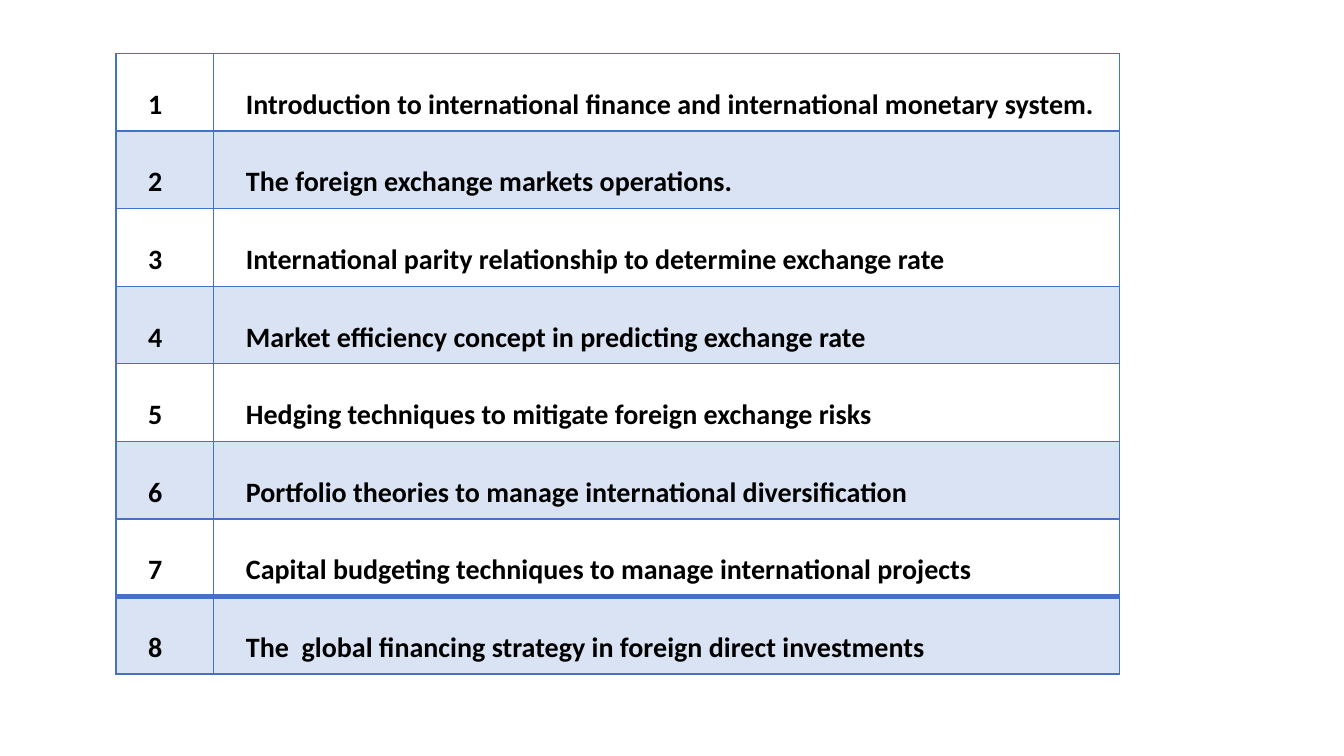
from lxml import etree
from pptx import Presentation
from pptx.dml.color import RGBColor
from pptx.oxml.ns import qn
from pptx.util import Inches, Pt

# Content
TOPICS = [
    "Introduction to international finance and international monetary system.",
    "The foreign exchange markets operations.",
    "International parity relationship to determine exchange rate",
    "Market efficiency concept in predicting exchange rate",
    "Hedging techniques to mitigate foreign exchange risks",
    "Portfolio theories to manage international diversification",
    "Capital budgeting techniques to manage international projects",
    "The  global financing strategy in foreign direct investments",
]

# Layout and style
LEFT, TOP = 1.15, 0.53
COLUMN_WIDTHS = (0.97, 8.98)
ROW_HEIGHT = 0.77
BORDER_COLOR, BAND_COLOR, TEXT_COLOR = "4472C4", "DAE3F3", "000000"
HEADER_RULE, LAST_RULE, THIN_RULE = 2, 4, 1


def rgb(hex_color):
    return RGBColor.from_string(hex_color)


def rule_width(boundary):
    """Width of the horizontal rule above the row with this index."""
    return {1: HEADER_RULE, len(TOPICS) - 1: LAST_RULE}.get(boundary, THIN_RULE)


def set_borders(cell, widths):
    properties = cell._tc.get_or_add_tcPr()
    for side, width in widths.items():
        line = etree.SubElement(properties, qn(f"a:ln{side}"), w=str(Pt(width)))
        fill = etree.SubElement(line, qn("a:solidFill"))
        etree.SubElement(fill, qn("a:srgbClr"), val=BORDER_COLOR)


def format_cell(cell, text, row):
    cell.margin_left = cell.margin_right = Inches(0.07)
    cell.margin_top = cell.margin_bottom = 0
    set_borders(cell, {"L": THIN_RULE, "R": THIN_RULE,
                       "T": rule_width(row), "B": rule_width(row + 1)})
    if row % 2:
        cell.fill.solid()
        cell.fill.fore_color.rgb = rgb(BAND_COLOR)
    else:
        cell.fill.background()

    cell.text_frame.text = text
    paragraph = cell.text_frame.paragraphs[0]
    paragraph._p.get_or_add_pPr().set("marL", str(Inches(0.25)))
    paragraph.line_spacing = 2.0
    paragraph.space_after = Pt(6)
    font = paragraph.runs[0].font
    font.name, font.size, font.bold = "Calibri", Pt(20), True
    font.color.rgb = rgb(TEXT_COLOR)


presentation = Presentation()
presentation.slide_width, presentation.slide_height = Inches(13.33), Inches(7.5)
slide = presentation.slides.add_slide(presentation.slide_layouts[6])

# Numbered topic table
table = slide.shapes.add_table(
    len(TOPICS), len(COLUMN_WIDTHS), Inches(LEFT), Inches(TOP),
    Inches(sum(COLUMN_WIDTHS)), Inches(ROW_HEIGHT * len(TOPICS))).table
table.first_row = table.horz_banding = False
for column, width in zip(table.columns, COLUMN_WIDTHS):
    column.width = Inches(width)
for row, topic in enumerate(TOPICS):
    table.rows[row].height = Inches(ROW_HEIGHT)
    for column, text in enumerate((str(row + 1), topic)):
        format_cell(table.cell(row, column), text, row)

presentation.save("out.pptx")
